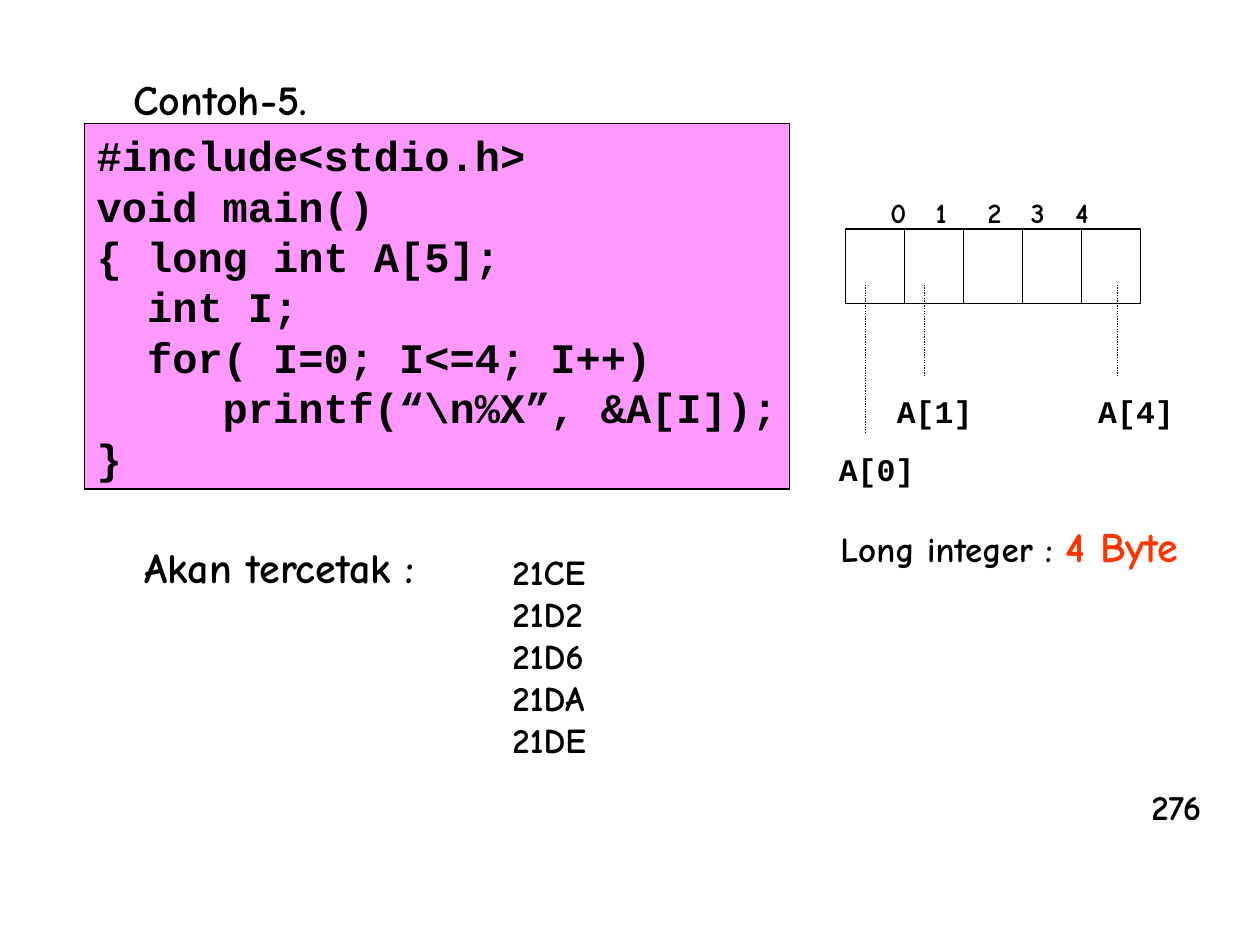
"""Builds the slide on the addresses of a long integer array."""
import dataclasses

import lxml.etree
import pptx
import pptx.dml.color
import pptx.enum.dml
import pptx.enum.shapes
import pptx.enum.text
import pptx.oxml.ns
import pptx.util
from pptx.util import Cm


@dataclasses.dataclass
class Theme:
    black = pptx.dml.color.RGBColor(0x00, 0x00, 0x00)
    red = pptx.dml.color.RGBColor(0xFF, 0x33, 0x00)
    pink = pptx.dml.color.RGBColor(0xFF, 0x99, 0xFF)
    text_font = "Comic Neue"
    code_font = "Courier New"
    large = 24
    medium = 20
    label = 18
    small = 16
    line = pptx.util.Pt(0.75)


theme = Theme()


def add_span(para, text, size, font=theme.text_font, color=theme.black):
    span = para.add_run()
    span.text = text
    span.font.size = pptx.util.Pt(size)
    span.font.name = font
    span.font.bold = True
    span.font.color.rgb = color


def set_frame(box):
    frame = box.text_frame
    frame.word_wrap = False
    frame.auto_size = pptx.enum.text.MSO_AUTO_SIZE.NONE
    frame.vertical_anchor = pptx.enum.text.MSO_ANCHOR.TOP
    frame.paragraphs[0].alignment = pptx.enum.text.PP_ALIGN.LEFT
    return frame


deck = pptx.Presentation()
deck.slide_width = Cm(25.4)
deck.slide_height = Cm(19.05)
page = deck.slides.add_slide(deck.slide_layouts[5])
rectangle = pptx.enum.shapes.MSO_SHAPE.RECTANGLE

title = page.shapes.title
title.left, title.top, title.width, title.height = Cm(2.44), Cm(1.35), Cm(4.01), Cm(1.27)
add_span(set_frame(title).paragraphs[0], "Contoh-5.", theme.large)

code_box = page.shapes.add_shape(rectangle, Cm(1.7), Cm(2.49), Cm(14.22), Cm(7.37))
code_box.shadow.inherit = False
code_box.fill.solid()
code_box.fill.fore_color.rgb = theme.pink
code_box.line.color.rgb = theme.black
code_box.line.width = theme.line
frame = set_frame(code_box)
code_lines = [
    (0, "#include<stdio.h>"),
    (0, "void main()"),
    (0, "{ long int A[5];"),
    (2, "int I;"),
    (2, "for( I=0; I<=4; I++)"),
    (5, "printf(“\\n%X”, &A[I]);"),
    (0, "}"),
]
for number, (indent, text) in enumerate(code_lines):
    para = frame.add_paragraph() if number else frame.paragraphs[0]
    para.alignment = pptx.enum.text.PP_ALIGN.LEFT
    properties = para._p.get_or_add_pPr()
    properties.set("marL", str(pptx.util.Pt(14.4 * indent)))
    properties.set("indent", "0")
    add_span(para, text, theme.large, theme.code_font)

address_box = page.shapes.add_textbox(Cm(10.08), Cm(10.97), Cm(1.98), Cm(4.5))
frame = set_frame(address_box)
for number, address in enumerate(["21CE", "21D2", "21D6", "21DA", "21DE"]):
    para = frame.add_paragraph() if number else frame.paragraphs[0]
    add_span(para, address, theme.medium)

size_box = page.shapes.add_textbox(Cm(16.69), Cm(10.36), Cm(7.37), Cm(1.27))
para = set_frame(size_box).paragraphs[0]
add_span(para, "Long integer : ", theme.medium)
add_span(para, "4 Byte", theme.large, color=theme.red)

cell_width = 1.19
for index in range(5):
    cell = page.shapes.add_shape(
        rectangle, Cm(17.04 + index * cell_width), Cm(4.62), Cm(cell_width), Cm(1.5)
    )
    cell.shadow.inherit = False
    cell.fill.background()
    cell.line.color.rgb = theme.black
    cell.line.width = theme.line

index_box = page.shapes.add_textbox(Cm(17.7), Cm(3.81), Cm(4.68), Cm(0.94))
para = set_frame(index_box).paragraphs[0]
tab_list = lxml.etree.SubElement(para._p.get_or_add_pPr(), pptx.oxml.ns.qn("a:tabLst"))
for position in (0.91, 1.96, 2.83, 3.73):
    tab = lxml.etree.SubElement(tab_list, pptx.oxml.ns.qn("a:tab"))
    tab.set("pos", str(Cm(position)))
    tab.set("algn", "l")
add_span(para, "0\t1\t2\t3\t4", theme.small)

labels = [
    ("Akan tercetak :", 2.67, 10.8, 6.02, 1.27, theme.large, theme.text_font),
    ("A[0]", 16.66, 8.94, 2.03, 1.02, theme.label, theme.code_font),
    ("A[1]", 17.83, 7.77, 2.03, 1.02, theme.label, theme.code_font),
    ("A[4]", 21.89, 7.77, 2.03, 1.02, theme.label, theme.code_font),
    ("276", 22.96, 15.72, 1.55, 1.12, theme.medium, theme.text_font),
]
for text, left, top, width, height, size, font in labels:
    box = page.shapes.add_textbox(Cm(left), Cm(top), Cm(width), Cm(height))
    add_span(set_frame(box).paragraphs[0], text, size, font)

for x, bottom in [(17.45, 8.71), (18.64, 7.59), (22.53, 7.59)]:
    pointer = page.shapes.add_connector(
        pptx.enum.shapes.MSO_CONNECTOR.STRAIGHT, Cm(x), Cm(5.74), Cm(x), Cm(bottom)
    )
    pointer.line.color.rgb = theme.black
    pointer.line.width = theme.line
    pointer.line.dash_style = pptx.enum.dml.MSO_LINE.ROUND_DOT
    lxml.etree.SubElement(pointer._element.spPr, pptx.oxml.ns.qn("a:effectLst"))

deck.save("out.pptx")
